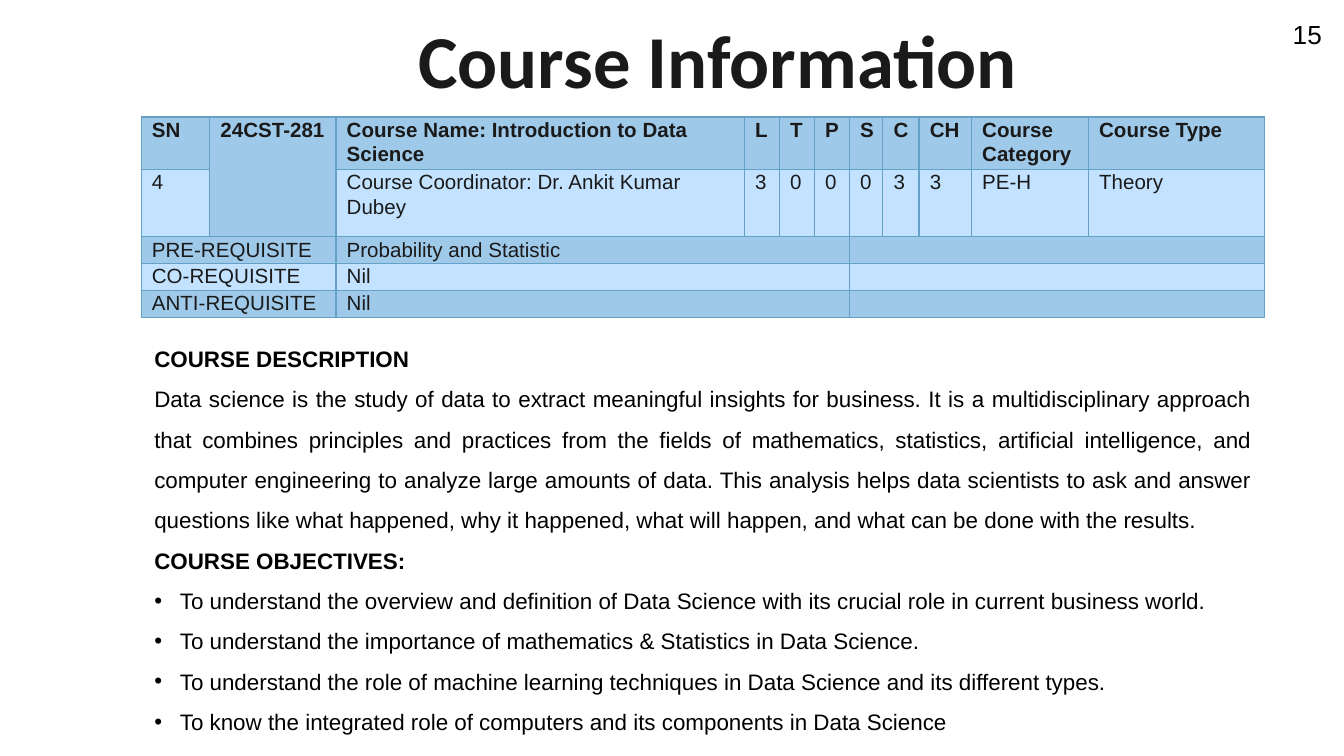
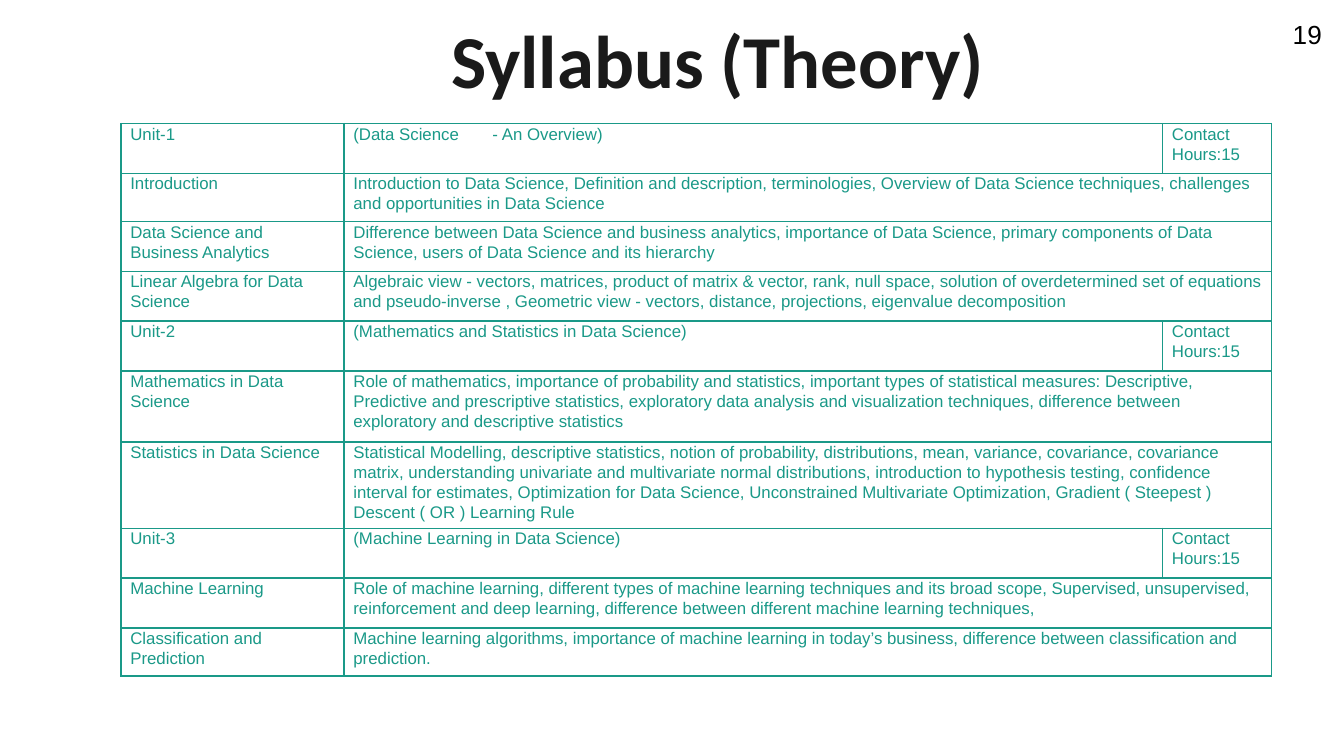
import pptx
import pptx.dml.color
import pptx.enum.text
import pptx.oxml.ns
import pptx.util
from lxml import etree

Inches = pptx.util.Inches
Pt = pptx.util.Pt
ALIGN = pptx.enum.text.PP_ALIGN
qn = pptx.oxml.ns.qn

COLORS = {
    "title": "1A1A1A",
    "body": "000000",
    "band_dark": "9FC9E9",
    "band_light": "C2E2FF",
    "course_border": "65A1C6",
    "syllabus": "1A9988",
}


def write(paragraph, text, *, size, color, font="Arial", bold=False, align=None,
          line=None, after=None, bullet=None, indent=0.19):
    """Put one formatted run of text into a paragraph."""
    if bullet:
        props = paragraph._p.get_or_add_pPr()
        props.set("marL", str(Inches(indent)))
        props.set("indent", str(-Inches(indent)))
        etree.SubElement(props, qn("a:buFont")).set("typeface", "Arial")
        etree.SubElement(props, qn("a:buChar")).set("char", bullet)
    if align is not None:
        paragraph.alignment = align
    if line:
        paragraph.line_spacing = line
    if after:
        paragraph.space_after = Pt(after)
    if not text:
        # An empty cell still needs its size, so that the row stays low
        etree.SubElement(paragraph._p, qn("a:endParaRPr")).set("sz", str(size * 100))
        return
    run = paragraph.add_run()
    run.text = text
    run.font.name = font
    run.font.size = Pt(size)
    run.font.bold = bold
    run.font.color.rgb = pptx.dml.color.RGBColor.from_string(COLORS[color])


class Deck:
    def __init__(self):
        self.prs = pptx.Presentation()
        # Widescreen, 16:9
        self.prs.slide_width = Inches(10)
        self.prs.slide_height = Inches(10) * 9 // 16
        self.slide = None

    def new_slide(self, heading, number):
        self.slide = self.prs.slides.add_slide(self.prs.slide_layouts[5])
        title = self.slide.shapes.title
        title.left, title.top = Inches(0.85), Inches(0.26)
        title.width, title.height = Inches(8.98), Inches(0.44)
        frame = title.text_frame
        frame.auto_size = pptx.enum.text.MSO_AUTO_SIZE.NONE
        frame.vertical_anchor = pptx.enum.text.MSO_ANCHOR.MIDDLE
        frame.margin_left = frame.margin_right = Inches(0.08)
        frame.margin_top = frame.margin_bottom = Inches(0.08)
        write(frame.paragraphs[0], heading, size=40, color="title", font="Calibri",
              bold=True, align=ALIGN.CENTER, line=0.9)
        self.text(9.52, 0.09, 0.42, 0.34, [(str(number), {})], wrap=False,
                  size=14, color="body")

    def text(self, left, top, width, height, paragraphs, wrap=True, **style):
        """Add a text box; each paragraph is its text and its own format."""
        box = self.slide.shapes.add_textbox(
            Inches(left), Inches(top), Inches(width), Inches(height))
        frame = box.text_frame
        frame.word_wrap = wrap
        for i, (content, extra) in enumerate(paragraphs):
            paragraph = frame.add_paragraph() if i else frame.paragraphs[0]
            write(paragraph, content, **{**style, **extra})

    def table(self, left, top, widths, heights, rows, merges, border, border_width,
              inset, fills=None, bold_header=False, **style):
        """Add a table; merges are (row, column, last row, last column)."""
        table = self.slide.shapes.add_table(
            len(heights), len(widths), Inches(left), Inches(top),
            Inches(sum(widths)), Inches(sum(heights))).table
        table.first_row = table.horz_banding = False
        for column, width in zip(table.columns, widths):
            column.width = Inches(width)
        for row, height in zip(table.rows, heights):
            row.height = Inches(height)
        for r, row in enumerate(rows):
            for c, content in enumerate(row):
                cell = table.cell(r, c)
                cell.margin_left = cell.margin_right = Inches(inset)
                cell.margin_top = cell.margin_bottom = 0
                self.cell_borders(cell, border, border_width)
                if fills:
                    cell.fill.solid()
                    cell.fill.fore_color.rgb = pptx.dml.color.RGBColor.from_string(
                        COLORS[fills[r % len(fills)]])
                else:
                    cell.fill.background()
                write(cell.text_frame.paragraphs[0], content, line=1.07, after=8,
                      bold=bold_header and r == 0, **style)
        for r, c, last_r, last_c in merges:
            table.cell(r, c).merge(table.cell(last_r, last_c))

    @staticmethod
    def cell_borders(cell, color, width):
        props = cell._tc.get_or_add_tcPr()
        for side in ("a:lnL", "a:lnR", "a:lnT", "a:lnB"):
            line = etree.SubElement(props, qn(side))
            line.set("w", str(Pt(width)))
            fill = etree.SubElement(line, qn("a:solidFill"))
            etree.SubElement(fill, qn("a:srgbClr")).set("val", COLORS[color])


def course_information(deck):
    deck.new_slide("Course Information", 15)

    # Course table
    requisites = [("PRE-REQUISITE", "Probability and Statistic"),
                  ("CO-REQUISITE", "Nil"), ("ANTI-REQUISITE", "Nil")]
    rows = [
        ["SN", "24CST-281", "Course Name: Introduction to Data Science",
         "L", "T", "P", "S", "C", "CH", "Course Category", "Course Type"],
        ["4", "", "Course Coordinator: Dr. Ankit Kumar Dubey",
         "3", "0", "0", "0", "3", "3", "PE-H", "Theory"],
    ] + [[label, "", value] + [""] * 8 for label, value in requisites]
    merges = [(0, 1, 1, 1)]
    for r in range(2, len(rows)):
        merges += [(r, first, r, last) for first, last in ((0, 1), (2, 5), (6, 10))]
    deck.table(1.05, 0.87,
               [0.51, 0.94, 3.04, 0.26, 0.26, 0.26, 0.25, 0.27, 0.39, 0.87, 1.31],
               [0.39, 0.5, 0.2, 0.2, 0.2], rows, merges,
               border="course_border", border_width=0.75, inset=0.08,
               fills=["band_dark", "band_light"], bold_header=True,
               size=11, color="title")

    # Description and objectives
    heading = {"bold": True}
    justified = {"align": ALIGN.JUSTIFY}
    objectives = [
        "To understand the overview and definition of Data Science with its crucial "
        "role in current business world.",
        "To understand the importance of mathematics & Statistics in Data Science.",
        "To understand the role of machine learning techniques in Data Science and "
        "its different types.",
        "To know the integrated role of computers and its components in Data Science",
    ]
    description = (
        "Data science is the study of data to extract meaningful insights for business. "
        "It is a multidisciplinary approach that combines principles and practices from "
        "the fields of mathematics, statistics, artificial intelligence, and computer "
        "engineering to analyze large amounts of data. This analysis helps data "
        "scientists to ask and answer questions like what happened, why it happened, "
        "what will happen, and what can be done with the results.")
    deck.text(1.05, 2.42, 8.37, 3.13, [
        ("COURSE DESCRIPTION", heading),
        (description, justified),
        ("COURSE OBJECTIVES:", heading),
        *[(objective, {**justified, "bullet": "•"}) for objective in objectives],
    ], size=12, color="body", line=1.5)


def syllabus(deck):
    deck.new_slide("Syllabus (Theory)", 19)

    # Units with their topics
    units = [
        ("(Data Science\t - An Overview)", [
            ("Introduction",
             "Introduction to Data Science, Definition and description, terminologies, "
             "Overview of Data Science techniques, challenges and opportunities in Data "
             "Science"),
            ("Data Science and Business Analytics",
             "Difference between Data Science and business analytics, importance of Data "
             "Science, primary components of Data Science, users of Data Science and its "
             "hierarchy"),
            ("Linear Algebra for Data Science",
             "Algebraic view - vectors, matrices, product of matrix & vector, rank, null "
             "space, solution of overdetermined set of equations and pseudo-inverse , "
             "Geometric view - vectors, distance, projections, eigenvalue decomposition"),
        ]),
        ("(Mathematics and Statistics in Data Science)", [
            ("Mathematics in Data Science",
             "Role of mathematics, importance of probability and statistics, important "
             "types of statistical measures: Descriptive, Predictive and prescriptive "
             "statistics, exploratory data analysis and visualization techniques, "
             "difference between exploratory and descriptive statistics"),
            ("Statistics in Data Science",
             "Statistical Modelling, descriptive statistics, notion of probability, "
             "distributions, mean, variance, covariance, covariance matrix, understanding "
             "univariate and multivariate normal distributions, introduction to "
             "hypothesis testing, confidence interval for estimates, Optimization for "
             "Data Science, Unconstrained Multivariate Optimization, Gradient ( Steepest ) "
             "Descent ( OR ) Learning Rule"),
        ]),
        ("(Machine Learning in Data Science)", [
            ("Machine Learning",
             "Role of machine learning, different types of machine learning techniques "
             "and its broad scope, Supervised, unsupervised, reinforcement and deep "
             "learning, difference between different machine learning techniques,"),
            ("Classification and Prediction",
             "Machine learning algorithms, importance of machine learning in today’s "
             "business, difference between classification and prediction."),
        ]),
    ]
    rows, merges = [], []
    for number, (unit, topics) in enumerate(units, start=1):
        rows.append([f"Unit-{number}", unit, "Contact Hours:15"])
        for topic, contents in topics:
            merges.append((len(rows), 1, len(rows), 2))
            rows.append([topic, contents, ""])
    deck.table(0.9, 0.92, [1.66, 6.09, 0.81],
               [0.37, 0.36, 0.37, 0.37, 0.37, 0.53, 0.62, 0.37, 0.37, 0.36],
               rows, merges, border="syllabus", border_width=1, inset=0.07,
               size=9, color="syllabus")


def main():
    deck = Deck()
    course_information(deck)
    syllabus(deck)
    deck.prs.save("out.pptx")


if __name__ == "__main__":
    main()
